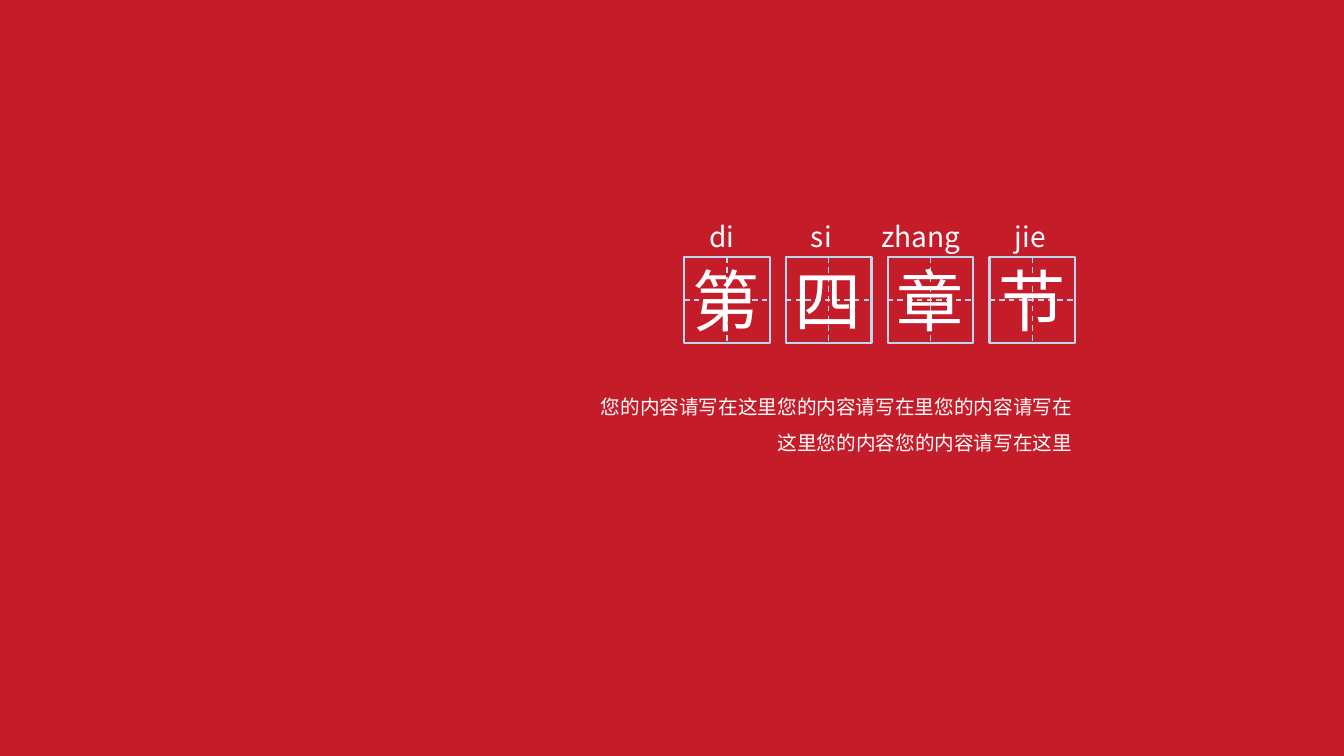
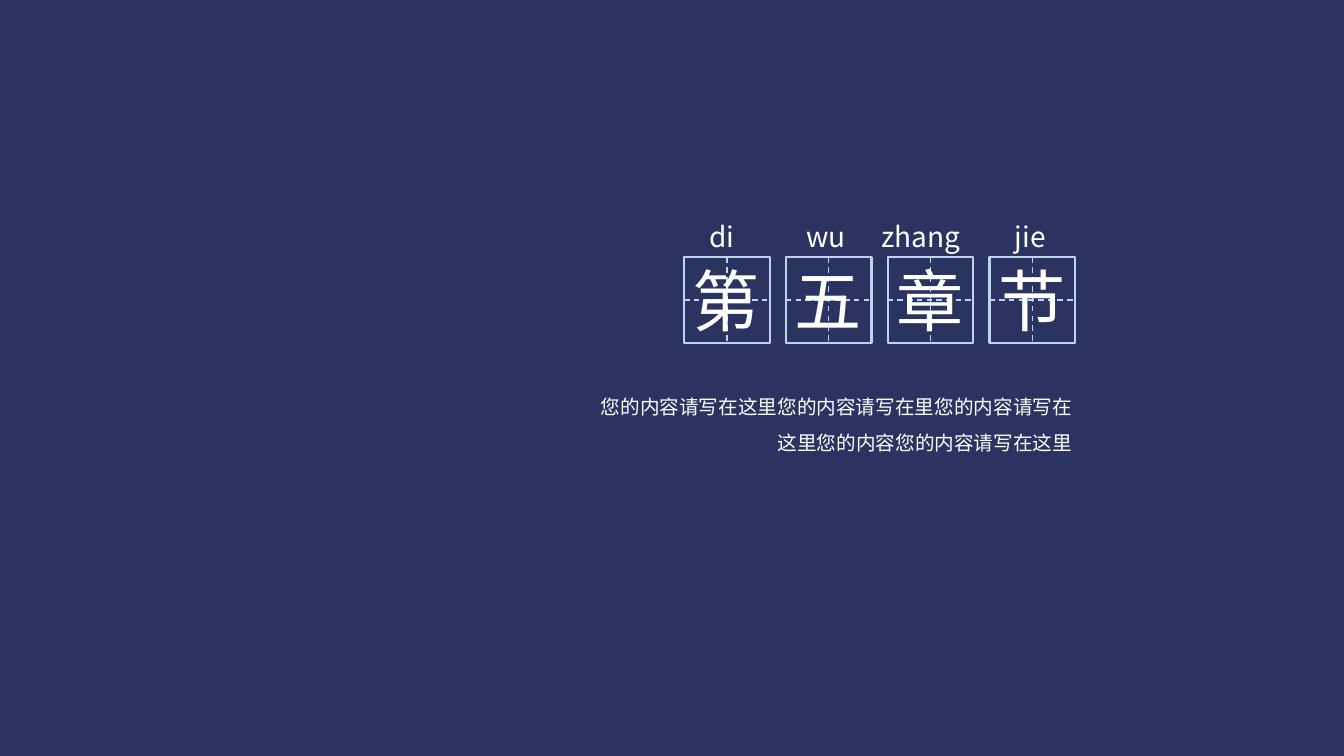
from lxml import etree
from pptx import Presentation
from pptx.dml.color import RGBColor
from pptx.enum.dml import MSO_LINE
from pptx.enum.shapes import MSO_CONNECTOR, MSO_SHAPE
from pptx.enum.text import PP_ALIGN
from pptx.oxml.ns import qn
from pptx.util import Pt

# Shared style
WHITE, GRID = "FFFFFF", "BBD6EE"
TITLE_FONT, BODY_FONT = "Noto Sans CJK JP", "Noto Sans CJK SC"
CELL, PITCH = 61.2, 72.72
GRID_LEFT, GRID_TOP = 488.9, 183.8
BODY = "您的内容请写在这里您的内容请写在里您的内容请写在这里您的内容您的内容请写在这里"

# Background, then (character, pinyin, pinyin left, pinyin width) for each cell
FIRST = ("第", "di", 499.7, 39.6)
LAST = [("章", "zhang", 622.8, 86.4), ("节", "jie", 718.2, 46.8)]
CHAPTERS = [
    ("C51C29", [FIRST, ("四", "si", 572.4, 39.6), *LAST]),
    ("2B3360", [FIRST, ("五", "wu", 569.2, 50), *LAST]),
]


def rgb(value):
    return RGBColor.from_string(value)


def add_text(s, text, x, y, w, h, size, font, wrap=False):
    tf = s.shapes.add_textbox(Pt(x), Pt(y), Pt(w), Pt(h)).text_frame
    tf.word_wrap = wrap
    tf.text = text
    p = tf.paragraphs[0]
    r = p.runs[0]
    r.font.size = Pt(size)
    r.font.color.rgb = rgb(WHITE)
    r.font.name = font
    etree.SubElement(r.font._element, qn("a:ea"), typeface=font)
    return p


prs = Presentation()
prs.slide_width, prs.slide_height = Pt(960.4), Pt(540)

for background, cells in CHAPTERS:
    s = prs.slides.add_slide(prs.slide_layouts[6])
    s.background.fill.solid()
    s.background.fill.fore_color.rgb = rgb(background)

    # Practice-grid cells with a character inside and pinyin above
    for i, (char, pinyin, pinyin_left, pinyin_width) in enumerate(cells):
        x = GRID_LEFT + i * PITCH
        group = s.shapes.add_group_shape()
        sp = group.shapes.add_shape(
            MSO_SHAPE.RECTANGLE, Pt(x), Pt(GRID_TOP), Pt(CELL), Pt(CELL))
        sp.shadow.inherit = False
        sp.fill.background()
        sp.line.color.rgb = rgb(GRID)
        sp.line.width = Pt(1.5)

        # Dashed guides: left to right, then top to bottom
        for start, end in ((1, 3), (0, 2)):
            guide = group.shapes.add_connector(
                MSO_CONNECTOR.STRAIGHT, Pt(x), Pt(GRID_TOP), Pt(x), Pt(GRID_TOP))
            guide.begin_connect(sp, start)
            guide.end_connect(sp, end)
            guide.line.color.rgb = rgb(GRID)
            guide.line.width = Pt(1)
            guide.line.dash_style = MSO_LINE.DASH
            etree.SubElement(guide._element.spPr, qn("a:effectLst"))

        add_text(s, char, x - 0.9, 181.4, 67, 65.5, 48, TITLE_FONT)
        add_text(s, pinyin, pinyin_left, 153, pinyin_width, 31.7, 20, TITLE_FONT)

    # Description
    p = add_text(s, BODY, 419.2, 270.3, 354.2, 58.3, 14, BODY_FONT, wrap=True)
    p.alignment = PP_ALIGN.RIGHT
    p.line_spacing = 1.5

prs.save("out.pptx")
